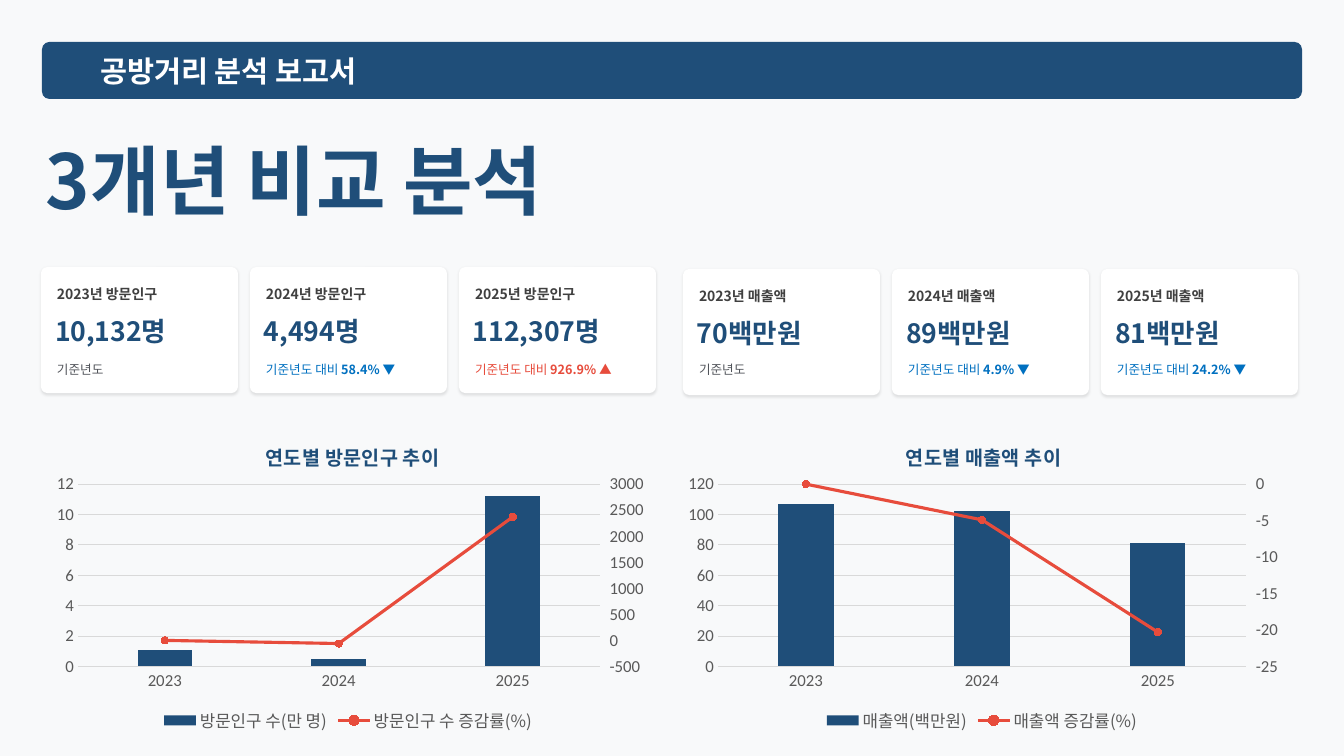
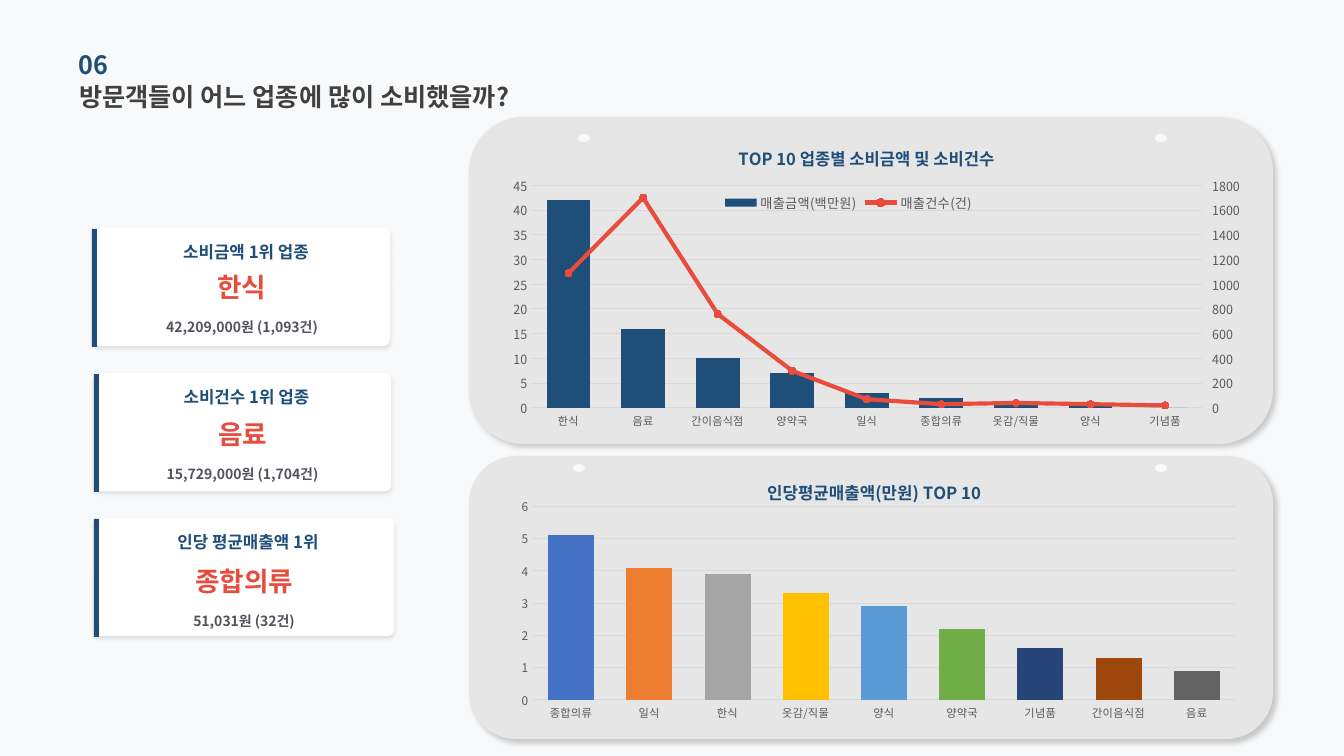
from lxml.etree import SubElement
from pptx import Presentation
from pptx.chart.axis import ValueAxis
from pptx.chart.data import CategoryChartData
from pptx.dml.color import RGBColor
from pptx.enum.chart import XL_CHART_TYPE, XL_LEGEND_POSITION, XL_MARKER_STYLE, XL_TICK_MARK
from pptx.enum.shapes import MSO_SHAPE
from pptx.enum.text import MSO_ANCHOR, MSO_AUTO_SIZE, PP_ALIGN
from pptx.oxml import parse_xml
from pptx.oxml.ns import nsdecls, qn
from pptx.util import Pt

PX = 9071
KOREAN = "Noto Sans CJK KR"
LATIN = "Calibri"
NAVY = RGBColor(0x1F, 0x4E, 0x79)
RED = RGBColor(0xE7, 0x4C, 0x3C)
BLUE = RGBColor(0x00, 0x70, 0xC0)
DARK = RGBColor(0x40, 0x40, 0x40)
GRAY = RGBColor(0x51, 0x54, 0x5A)
AXIS_GRAY = RGBColor(0x59, 0x59, 0x59)
GRID_GRAY = RGBColor(0xD9, 0xD9, 0xD9)
PANEL_GRAY = RGBColor(0xE7, 0xE6, 0xE6)
PAPER = RGBColor(0xF8, 0xF9, 0xFA)
WHITE = RGBColor(0xFF, 0xFF, 0xFF)
BAR_COLORS = [RGBColor.from_string(code) for code in (
    "4472C4", "ED7D31", "A5A5A5", "FFC000", "5B9BD5", "70AD47", "264478", "9E480E", "636363")]


def add_block(shapes, kind, box, fill, corner=None, shadow=None):
    block = shapes.add_shape(kind, *[n * PX for n in box])
    block.fill.solid()
    block.fill.fore_color.rgb = fill
    block.line.fill.background()
    block.shadow.inherit = False
    if corner:
        block.adjustments[0] = corner
    if shadow:
        alpha, blur, distance, angle = shadow
        effects = block.element.spPr.find(qn("a:effectLst"))
        effects.append(parse_xml(
            f'<a:outerShdw {nsdecls("a")} blurRad="{Pt(blur)}" dist="{Pt(distance)}" '
            f'dir="{angle * 60000}" algn="t" rotWithShape="0"><a:srgbClr val="000000">'
            f'<a:alpha val="{alpha * 1000}"/></a:srgbClr></a:outerShdw>'))


def write(shapes, box, runs, size, color, align=PP_ALIGN.LEFT, title=False):
    left, top, width, height = [n * PX for n in box]
    if title:
        holder = shapes.title
        holder.left, holder.top, holder.width, holder.height = left, top, width, height
    else:
        holder = shapes.add_textbox(left, top, width, height)
    frame = holder.text_frame
    frame.word_wrap = True
    frame.auto_size = MSO_AUTO_SIZE.NONE
    frame.vertical_anchor = MSO_ANCHOR.MIDDLE
    frame.margin_left = frame.margin_right = frame.margin_top = frame.margin_bottom = 0
    paragraph = frame.paragraphs[0]
    paragraph.alignment = align
    for text, bold in runs:
        run = paragraph.add_run()
        run.text = text
        run.font.name = KOREAN
        run.font.size = Pt(size)
        run.font.bold = bold
        run.font.color.rgb = color


deck = Presentation()
deck.slide_width, deck.slide_height = 1344 * PX, 756 * PX
deck.slide_master.background.fill.solid()
deck.slide_master.background.fill.fore_color.rgb = PAPER
comparison = deck.slides.add_slide(deck.slide_layouts[5])
spending = deck.slides.add_slide(deck.slide_layouts[5])

shapes = comparison.shapes
add_block(shapes, MSO_SHAPE.ROUNDED_RECTANGLE, (42, 42, 1260, 57), NAVY, 0.13)
write(shapes, (100, 49, 457, 43), [("공방거리 분석 보고서", True)], 21, WHITE)
write(shapes, (46, 124, 637, 110), [("3개년 비교 분석", True)], 54, NAVY, title=True)

indicator_groups = [
    (41, 267, "방문인구", (113, 109, 104), [
        ("10,132명", "", GRAY), ("4,494명", "58.4% ▼", BLUE), ("112,307명", "926.9% ▲", RED)]),
    (683, 269, "매출액", (96, 96, 96), [
        ("70백만원", "", GRAY), ("89백만원", "4.9% ▼", BLUE), ("81백만원", "24.2% ▼", BLUE)]),
]
for group_left, top, measure, label_widths, indicators in indicator_groups:
    for i, (value, change, color) in enumerate(indicators):
        left = group_left + 209 * i
        add_block(shapes, MSO_SHAPE.ROUNDED_RECTANGLE, (left, top, 197, 126), WHITE, 0.05,
                  (10, 2, 1, 90))
        write(shapes, (left + 16, top + 18, label_widths[i], 17),
              [(f"{2023 + i}년 {measure}", True)], 10, DARK)
        write(shapes, (left + 14, top + 49, 195, 29), [(value, True)], 19, NAVY)
        note = [("기준년도 대비 ", False), (change, True)] if change else [("기준년도", False)]
        write(shapes, (left + 16, 359, 176, 21), note, 9, color)

shapes = spending.shapes
for top, height in ((456, 283), (117, 327)):
    add_block(shapes, MSO_SHAPE.ROUNDED_RECTANGLE, (469, top, 804, height), PANEL_GRAY,
              shadow=(20, 4, 3, 45))
write(shapes, (79, 76, 456, 41), [("방문객들이 어느 업종에 많이 소비했을까?", True)], 18, DARK,
      title=True)
write(shapes, (79, 44, 456, 41), [("06", True)], 18, NAVY)

winners = [
    (92, 296, "소비금액 1위 업종", "한식", "42,209,000원 (1,093건)"),
    (94, 297, "소비건수 1위 업종", "음료", "15,729,000원 (1,704건)"),
    (94, 300, "인당 평균매출액 1위", "종합의류", "51,031원 (32건)"),
]
for i, (accent_left, width, label, winner, detail) in enumerate(winners):
    card = shapes.add_group_shape().shapes
    add_block(card, MSO_SHAPE.ROUNDED_RECTANGLE, (94, 228 + 145 * i, width, 118), WHITE, 0.05,
              (10, 3, 2, 90))
    for left, top, height, text, size, color in (
            (102, 241 + 145 * i, 22, label, 12, NAVY),
            (94, 270 + 147 * i, 34, winner, 19, RED),
            (94, 318 + 147 * i, 17, detail, 10, GRAY)):
        write(card, (left, top, 94 + width - left, height), [(text, True)], size, color,
              PP_ALIGN.CENTER)
    add_block(shapes, MSO_SHAPE.RECTANGLE, (accent_left, 229 + 145 * i, 5, 118), NAVY)

years = ("2023", "2024", "2025")
yearly = dict(slide=comparison, categories=years, title_size=14, category_font=(LATIN, 12),
              value_font=(LATIN, 12), legend_size=12, gap=219, line_width=2.25,
              legend_side=XL_LEGEND_POSITION.BOTTOM)
by_trade = dict(slide=spending, title_size=12, category_font=(KOREAN, 8), gap=70)
trends = [
    dict(yearly, box=(41, 417, 614, 320), title="연도별 방문인구 추이",
         bars=("방문인구 수(만 명)", (1.1, 0.5, 11.2)),
         line=("방문인구 수 증감률(%)", (0, -60, 2370)),
         scale=(0, 12, 2), right_scale=(-500, 3000, 500),
         title_at=(0.36, 0.06), plot_at=(0.06, 0.21, 0.85, 0.57)),
    dict(yearly, box=(675, 417, 614, 320), title="연도별 매출액 추이",
         bars=("매출액(백만원)", (107, 102, 81)),
         line=("매출액 증감률(%)", (0, -4.9, -20.3)),
         scale=(0, 120, 20), right_scale=(-25, 0, 5),
         title_at=(0.37, 0.06), plot_at=(0.07, 0.21, 0.86, 0.57)),
    dict(by_trade, box=(502, 125, 738, 318), title="TOP 10 업종별 소비금액 및 소비건수",
         categories=("한식", "음료", "간이음식점", "양약국", "일식", "종합의류", "옷감/직물",
                     "양식", "기념품"),
         bars=("매출금액(백만원)", (42, 16, 10, 7, 3, 2, 1, 1, 0)),
         line=("매출건수(건)", (1090, 1700, 760, 300, 70, 30, 40, 30, 20)),
         scale=(0, 45, 5), right_scale=(0, 1800, 200), value_font=(KOREAN, 9),
         legend_size=9.5, legend_side=XL_LEGEND_POSITION.TOP, line_width=3,
         title_at=(0.32, 0.05), plot_at=(0.04, 0.19, 0.92, 0.7), legend_at=(0.3, 0.2)),
    dict(by_trade, box=(502, 458, 749, 269), title="인당평균매출액(만원) TOP 10",
         categories=("종합의류", "일식", "한식", "옷감/직물", "양식", "양약국", "기념품",
                     "간이음식점", "음료"),
         bars=("Series 1", (5.1, 4.1, 3.9, 3.3, 2.9, 2.2, 1.6, 1.3, 0.9)),
         scale=(0, 6, 1), value_font=(KOREAN, 8.5),
         title_at=(0.35, 0.06), plot_at=(0.04, 0.18, 0.94, 0.72)),
]
for trend in trends:
    data = CategoryChartData()
    data.categories = trend["categories"]
    data.add_series(*trend["bars"])
    if "line" in trend:
        data.add_series(*trend["line"])
    chart = trend["slide"].shapes.add_chart(
        XL_CHART_TYPE.COLUMN_CLUSTERED, *[n * PX for n in trend["box"]], data).chart
    chart.font.name = LATIN
    chart.font.size = Pt(10)
    root = chart.element
    root.find(qn("c:chart")).addnext(parse_xml(
        f'<c:spPr {nsdecls("c", "a")}><a:noFill/><a:ln><a:noFill/></a:ln></c:spPr>'))

    chart.has_title = True
    heading = chart.chart_title.text_frame
    heading.text = trend["title"]
    heading_font = heading.paragraphs[0].runs[0].font
    heading_font.name, heading_font.size, heading_font.bold = KOREAN, Pt(trend["title_size"]), True
    heading_font.color.rgb = NAVY

    columns = chart.plots[0]
    columns.gap_width = trend["gap"]
    columns.vary_by_categories = False
    amounts = columns.series[0]
    amounts.format.fill.solid()
    amounts.format.fill.fore_color.rgb = NAVY

    category_axis, value_axis = chart.category_axis, chart.value_axis
    category_axis.format.line.color.rgb = GRID_GRAY
    category_axis.format.line.width = Pt(0.75)
    value_axis.major_gridlines.format.line.color.rgb = GRID_GRAY
    value_axis.major_gridlines.format.line.width = Pt(0.75)
    category_axis.major_tick_mark = value_axis.major_tick_mark = XL_TICK_MARK.NONE
    scaled_axes = [(value_axis, trend["scale"])]

    chart.has_legend = "line" in trend
    if "line" in trend:
        line_plot = parse_xml(
            f'<c:lineChart {nsdecls("c")}><c:grouping val="standard"/><c:varyColors val="0"/>'
            '<c:marker val="1"/><c:axId val="5001"/><c:axId val="5002"/></c:lineChart>')
        rate = root.xpath(".//c:barChart/c:ser")[1]
        for bar_only in rate.findall(qn("c:invertIfNegative")):
            rate.remove(bar_only)
        line_plot.insert(2, rate)
        root.xpath(".//c:barChart")[0].addnext(line_plot)
        hidden_axis = parse_xml(
            f'<c:catAx {nsdecls("c")}><c:axId val="5001"/><c:scaling>'
            '<c:orientation val="minMax"/></c:scaling><c:delete val="1"/><c:axPos val="b"/>'
            '<c:crossAx val="5002"/><c:crosses val="autoZero"/></c:catAx>')
        right_axis = parse_xml(
            f'<c:valAx {nsdecls("c")}><c:axId val="5002"/><c:scaling>'
            '<c:orientation val="minMax"/></c:scaling><c:delete val="0"/><c:axPos val="r"/>'
            '<c:numFmt formatCode="General" sourceLinked="0"/><c:majorTickMark val="out"/>'
            '<c:minorTickMark val="none"/><c:tickLblPos val="nextTo"/>'
            '<c:crossAx val="5001"/><c:crosses val="max"/></c:valAx>')
        root.xpath(".//c:valAx")[0].addnext(hidden_axis)
        hidden_axis.addnext(right_axis)
        scaled_axes.append((ValueAxis(right_axis), trend["right_scale"]))

        rates = chart.plots[1].series[0]
        rates.smooth = False
        rates.format.line.color.rgb = RED
        rates.format.line.width = Pt(trend["line_width"])
        rates.marker.style = XL_MARKER_STYLE.CIRCLE
        rates.marker.size = 5
        rates.marker.format.fill.solid()
        rates.marker.format.fill.fore_color.rgb = RED
        rates.marker.format.line.color.rgb = RED

        chart.legend.position = trend["legend_side"]
        chart.legend.include_in_layout = False
        chart.legend.font.name = KOREAN
        chart.legend.font.size = Pt(trend["legend_size"])
        chart.legend.font.color.rgb = AXIS_GRAY
    else:
        for i, color in enumerate(BAR_COLORS):
            bar_fill = amounts.points[i].format.fill
            bar_fill.solid()
            bar_fill.fore_color.rgb = color

    for axis, (low, high, step) in scaled_axes:
        axis.minimum_scale, axis.maximum_scale, axis.major_unit = low, high, step
        axis.format.line.fill.background()
    labelled_axes = [(axis, trend["value_font"]) for axis, limits in scaled_axes]
    for axis, (name, size) in labelled_axes + [(category_axis, trend["category_font"])]:
        label_font = axis.tick_labels.font
        label_font.name, label_font.size = name, Pt(size)
        label_font.color.rgb = AXIS_GRAY

    for part, index, key in (("plotArea", 0, "plot_at"), ("title", 1, "title_at"),
                             ("legend", 1, "legend_at")):
        if key not in trend:
            continue
        area = root.xpath(f"./c:chart//c:{part}")[0]
        for old in area.findall(qn("c:layout")):
            area.remove(old)
        inner = '<c:layoutTarget val="inner"/>' if part == "plotArea" else ""
        modes = '<c:xMode val="edge"/><c:yMode val="edge"/>'
        sides = "".join(f'<c:{side} val="{n}"/>' for side, n in zip("xywh", trend[key]))
        area.insert(index, parse_xml(
            f'<c:layout {nsdecls("c")}><c:manualLayout>{inner}{modes}{sides}'
            '</c:manualLayout></c:layout>'))

    for latin in list(root.iter(qn("a:latin"))):
        east_asian = SubElement(latin.getparent(), qn("a:ea"), typeface=KOREAN)
        latin.addnext(east_asian)

for left, top in ((578, 134), (1155, 134), (1155, 464), (573, 464)):
    add_block(spending.shapes, MSO_SHAPE.OVAL, (left, top, 12, 8), PAPER)

for slide in deck.slides:
    for latin in list(slide.element.iter(qn("a:latin"))):
        east_asian = SubElement(latin.getparent(), qn("a:ea"), typeface=KOREAN)
        latin.addnext(east_asian)

deck.save("out.pptx")
